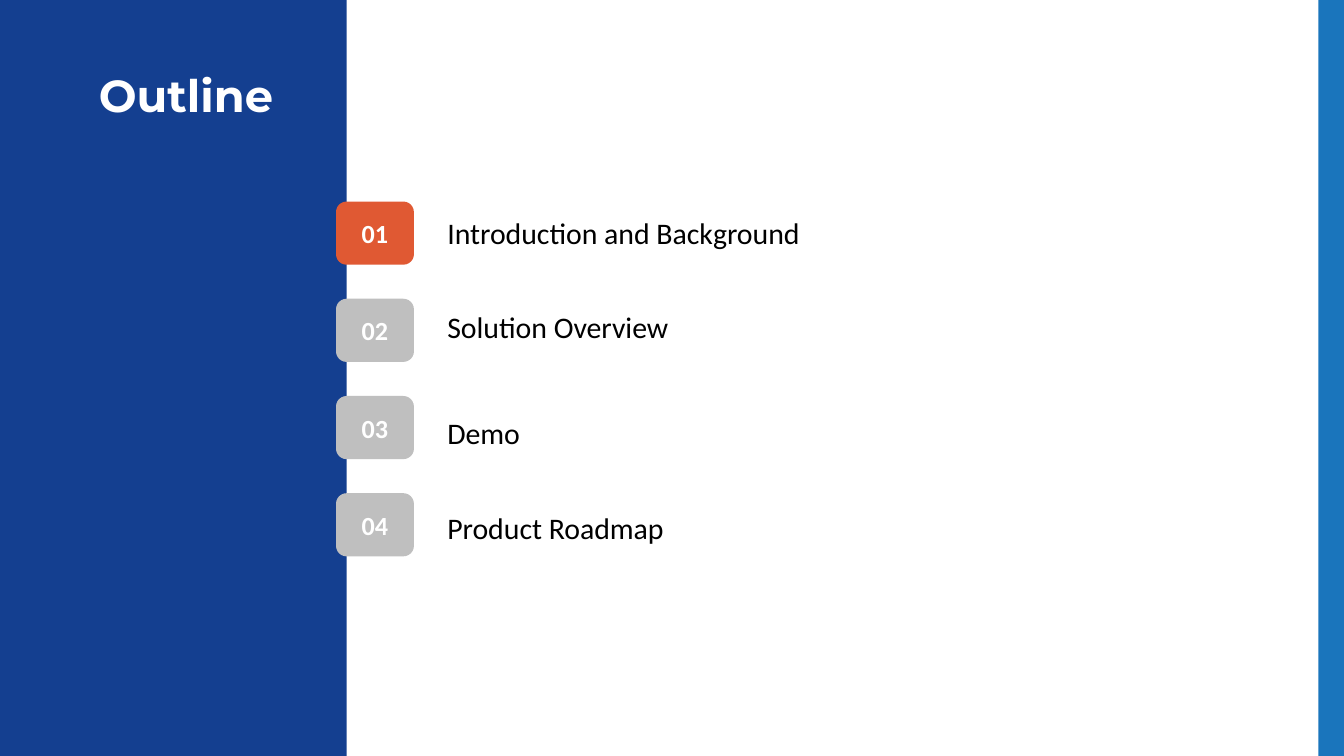
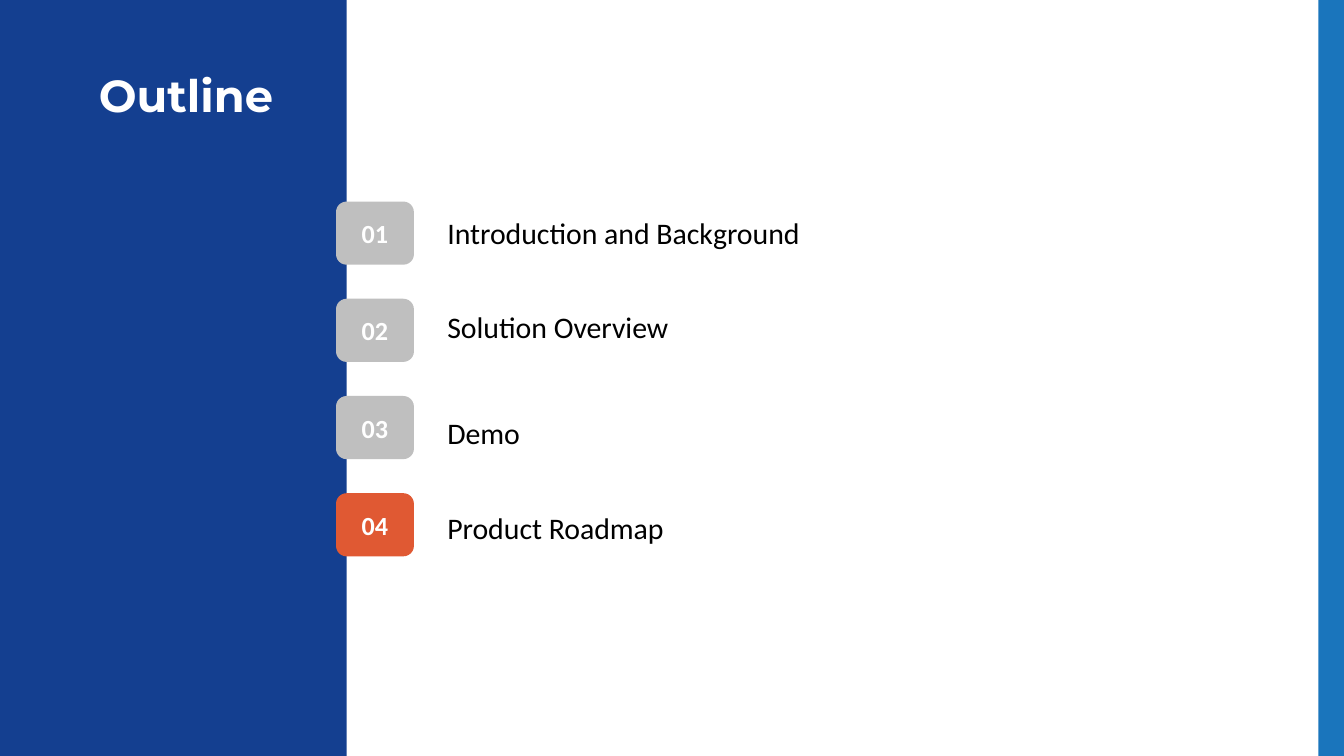
from pptx import Presentation
from pptx.dml.color import RGBColor
from pptx.enum.shapes import MSO_SHAPE
from pptx.enum.text import MSO_ANCHOR, MSO_AUTO_SIZE, PP_ALIGN
from pptx.util import Inches, Pt

RECT = MSO_SHAPE.RECTANGLE
ROUND = MSO_SHAPE.ROUNDED_RECTANGLE
CENTER = PP_ALIGN.CENTER
TOP = MSO_ANCHOR.TOP
MIDDLE = MSO_ANCHOR.MIDDLE
FIXED = MSO_AUTO_SIZE.NONE
GROW = MSO_AUTO_SIZE.SHAPE_TO_FIT_TEXT

NAVY = RGBColor(0x14, 0x3F, 0x90)
BLUE = RGBColor(0x1A, 0x75, 0xBC)
ORANGE = RGBColor(0xE0, 0x59, 0x33)
GRAY = RGBColor(0xBF, 0xBF, 0xBF)
WHITE = RGBColor(0xFF, 0xFF, 0xFF)
BLACK = RGBColor(0, 0, 0)

WIDTH = 10
HEIGHT = WIDTH * 9 / 16
PANEL = 2.58
STRIPE = 0.19
FIRST, LAST = 1.5, 3.67
TOPICS = [
    ("Introduction and Background", 1.55),
    ("Solution Overview", 2.25),
    ("Demo", 3.04),
    ("Product Roadmap", 3.74),
]
STEP = (LAST - FIRST) / (len(TOPICS) - 1)


def add_block(slide, kind, left, top, width, height, color):
    block = slide.shapes.add_shape(
        kind, Inches(left), Inches(top), Inches(width), Inches(height))
    block.shadow.inherit = False
    block.fill.solid()
    block.fill.fore_color.rgb = color
    block.line.fill.background()
    return block


def set_text(frame, text, face, size, color, bold=False, align=None):
    frame.text = text
    para = frame.paragraphs[0]
    para.alignment = align
    para.font.name = face
    para.font.size = Pt(size)
    para.font.bold = bold
    para.font.color.rgb = color


deck = Presentation()
deck.slide_width = Inches(WIDTH)
deck.slide_height = Inches(HEIGHT)

for active in (1, 4):
    slide = deck.slides.add_slide(deck.slide_layouts[5])
    add_block(slide, RECT, 0, 0, PANEL, HEIGHT, NAVY)

    title = slide.shapes.title
    title.element.getparent().append(title.element)
    title.left, title.top = Inches(0.27), Inches(0.4)
    title.width, title.height = Inches(2.23), Inches(0.63)
    frame = title.text_frame
    frame.auto_size = FIXED
    frame.vertical_anchor = TOP
    frame.margin_left = frame.margin_right = Inches(0.1)
    frame.margin_top = frame.margin_bottom = Inches(0.1)
    set_text(frame, "Outline", "Montserrat", 24, WHITE, True, CENTER)

    for num, (topic, top) in enumerate(TOPICS, 1):
        color = ORANGE if num == active else GRAY
        badge = add_block(
            slide, ROUND, 2.5, FIRST + (num - 1) * STEP, 0.58, 0.47, color)
        badge.text_frame.vertical_anchor = MIDDLE
        set_text(badge.text_frame, f"{num:02}", "Calibri", 14, WHITE, True, CENTER)

        label = slide.shapes.add_textbox(
            Inches(3.23), Inches(top), Inches(5.45), Inches(0.37))
        label.text_frame.word_wrap = True
        label.text_frame.auto_size = GROW
        set_text(label.text_frame, topic, "Calibri", 16, BLACK)

    add_block(slide, RECT, WIDTH - STRIPE, 0, STRIPE, HEIGHT, BLUE)

deck.save("out.pptx")
